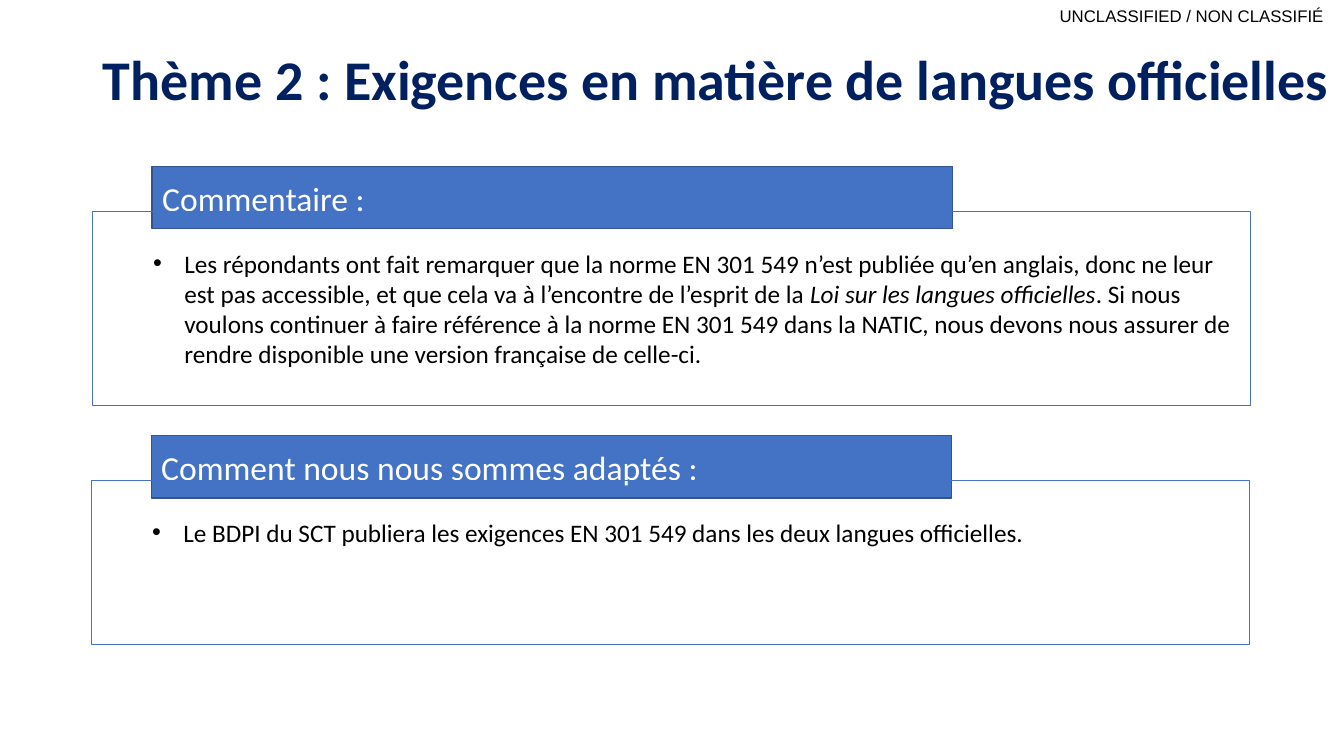
from dataclasses import dataclass

from lxml import etree
from pptx import Presentation
from pptx.dml.color import RGBColor
from pptx.enum.shapes import MSO_SHAPE
from pptx.enum.text import MSO_ANCHOR, MSO_AUTO_SIZE, PP_ALIGN
from pptx.oxml.ns import qn
from pptx.util import Inches, Pt

RECTANGLE = MSO_SHAPE.RECTANGLE
TOP, MIDDLE = MSO_ANCHOR.TOP, MSO_ANCHOR.MIDDLE
LEFT, RIGHT = PP_ALIGN.LEFT, PP_ALIGN.RIGHT
NO_AUTOFIT = MSO_AUTO_SIZE.NONE


@dataclass(frozen=True)
class Theme:
    """Fonts, colours and type sizes of the slide."""
    body_font: str = "Calibri"
    marking_font: str = "Arial"
    navy: str = "002060"
    blue: str = "4472C4"
    dark_blue: str = "325491"
    white: str = "FFFFFF"
    black: str = "000000"
    title_size: int = 40
    heading_size: int = 24
    body_size: int = 18
    marking_size: int = 12


@dataclass(frozen=True)
class Section:
    """A headed panel; spans pair each text with its italic flag."""
    heading: str
    spans: tuple[tuple[str, bool], ...]
    left: float
    top: float
    panel_height: float


THEME = Theme()
SECTIONS = (
    Section(
        "Commentaire\u00a0:",
        (
            ("Les répondants ont fait remarquer que la norme EN\u00a0301\u00a0549 "
             "n’est publiée qu’en anglais, donc ne leur est pas accessible, et que "
             "cela va à l’encontre de l’esprit de la ", False),
            ("Loi sur les langues officielles", True),
            (". Si nous voulons continuer à faire référence à la norme "
             "EN\u00a0301\u00a0549 dans la NATIC, nous devons nous assurer de rendre "
             "disponible une version française de celle-ci.", False),
        ),
        0.92, 1.65, 1.92,
    ),
    Section(
        "Comment nous nous sommes adaptés\u00a0:",
        (("Le BDPI du SCT\u00a0publiera les exigences EN 301 549 dans les deux "
          "langues officielles.\u00a0", False),),
        0.91, 4.32, 1.62,
    ),
)


def style_font(font, size: int, color: str, name: str = THEME.body_font) -> None:
    """Apply typeface, size and colour to a font."""
    font.name = name
    font.size = Pt(size)
    font.color.rgb = RGBColor.from_string(color)


def add_rectangle(page, left: float, top: float, width: float, height: float,
                  line_color: str, line_width: float, fill: str | None = None):
    """Add an outlined rectangle, unfilled unless a colour is given."""
    box = page.shapes.add_shape(RECTANGLE, Inches(left), Inches(top),
                                Inches(width), Inches(height))
    box.shadow.inherit = False
    box.line.color.rgb = RGBColor.from_string(line_color)
    box.line.width = Pt(line_width)
    if fill:
        box.fill.solid()
        box.fill.fore_color.rgb = RGBColor.from_string(fill)
    else:
        box.fill.background()
    box.text_frame.word_wrap = True
    return box


def add_bullet(para) -> None:
    """Give a paragraph a hanging round bullet."""
    properties = para._p.get_or_add_pPr()
    properties.set("marL", str(Inches(0.81)))
    properties.set("indent", str(Inches(-0.31)))
    etree.SubElement(properties, qn("a:buFont")).set("typeface", "Arial")
    etree.SubElement(properties, qn("a:buChar")).set("char", "•")


def add_section(page, section: Section) -> None:
    """Draw a heading bar and the bulleted panel it overlaps."""
    bar = add_rectangle(page, section.left + 0.59, section.top, 7.94, 0.62,
                        THEME.dark_blue, 1, THEME.blue)
    bar.text_frame.vertical_anchor = MIDDLE
    bar.text_frame.text = section.heading
    para = bar.text_frame.paragraphs[0]
    para.alignment = LEFT
    style_font(para.runs[0].font, THEME.heading_size, THEME.white)

    panel = add_rectangle(page, section.left, section.top + 0.45, 11.48,
                          section.panel_height, THEME.blue, 0.75)
    frame = panel.text_frame
    frame.vertical_anchor = TOP
    frame.margin_top = Inches(0.36)
    para = frame.paragraphs[0]
    para.alignment = LEFT
    add_bullet(para)
    for text, italic in section.spans:
        span = para.add_run()
        span.text = text
        style_font(span.font, THEME.body_size, THEME.black)
        span.font.italic = italic


def set_title(page, text: str) -> None:
    """Place and format the title placeholder."""
    title = page.shapes.title
    title.left, title.top = Inches(0.92), Inches(0.4)
    title.width, title.height = Inches(12.61), Inches(1.45)
    frame = title.text_frame
    frame.text = text
    frame.auto_size = NO_AUTOFIT
    frame.vertical_anchor = TOP
    frame.margin_top = Inches(0.12)
    para = frame.paragraphs[0]
    para.alignment = LEFT
    para.line_spacing = 0.9
    style_font(para.runs[0].font, THEME.title_size, THEME.navy)
    para.runs[0].font.bold = True


def add_marking(page, text: str) -> None:
    """Add the classification marking in the top right corner."""
    box = page.shapes.add_textbox(Inches(10.31), Inches(0), Inches(2.82 + 0.2), Inches(0.31))
    frame = box.text_frame
    frame.word_wrap = True
    frame.vertical_anchor = MIDDLE
    frame.margin_left = frame.margin_top = frame.margin_bottom = Inches(0)
    frame.margin_right = Inches(0.2)
    frame.text = text
    para = frame.paragraphs[0]
    para.alignment = RIGHT
    style_font(para.runs[0].font, THEME.marking_size, THEME.black, THEME.marking_font)


def main() -> None:
    """Build and save the slide."""
    deck = Presentation()
    deck.slide_width, deck.slide_height = Inches(13.33), Inches(7.5)
    page = deck.slides.add_slide(deck.slide_layouts[5])
    add_marking(page, "UNCLASSIFIED / NON CLASSIFIÉ")
    set_title(page, "Thème\u00a02\u00a0: Exigences en matière de langues officielles")
    for section in SECTIONS:
        add_section(page, section)
    deck.save("out.pptx")


main()
